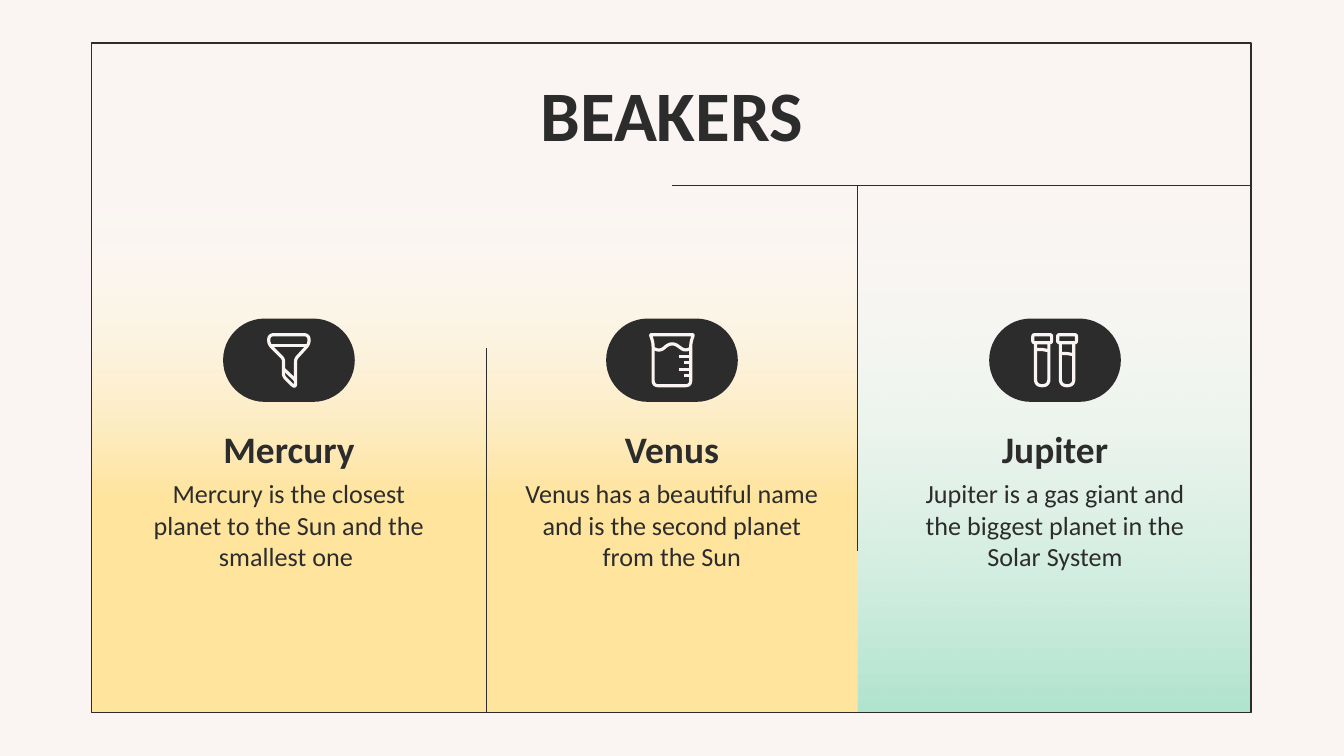
from lxml import etree
from pptx import Presentation
from pptx.dml.color import RGBColor
from pptx.enum.shapes import MSO_CONNECTOR, MSO_SHAPE
from pptx.enum.text import MSO_ANCHOR, PP_ALIGN
from pptx.oxml import parse_xml
from pptx.oxml.ns import nsdecls, qn
from pptx.util import Inches, Pt

INK, PAPER = "2C2C2C", "FAF5F2"
FONT = "Calibri"
LEFT, TOP, RIGHT, BOTTOM = 0.68, 0.32, 9.31, 5.3
HEADER_Y, SPLIT_X = 1.38, 6.38
CENTER_X, COLUMN_PITCH, ICON_Y = 5, 2.85, 2.68


def tube(x, level):
    """Strokes of one test tube centred on x, filled up to level."""
    return [
        ([(x - 7, -19, 1.5), (x + 7, -19, 1.5), (x + 7, -13, 1.5), (x - 7, -13, 1.5)], True),
        ([(x - 5, -13, 0), (x - 5, 19, 5), (x + 5, 19, 5), (x + 5, -13, 0)], False),
        ([(x - 5, level, 0), (x, level, 2), (x + 5, level + 1, 0)], False),
    ]


# Each stroke: points (x, y, corner radius) in 1/100 inch from the icon centre, closed or open.
FUNNEL = [
    ([(-15, -19, 4), (15, -19, 4), (15, -12, 3), (5, -1, 2), (5, 21, 4),
      (-4, 12, 2), (-4, -1, 2), (-15, -12, 3)], True),
    ([(-14, -11, 0), (14, -11, 0)], False),
    ([(-4, 6.5, 0), (5, 15, 0)], False),
]
BEAKER = [
    ([(-16, -19, 1), (16, -19, 1), (14, -13, 3), (14, 19, 4), (-14, 19, 4),
      (-14, -13, 3)], True),
    ([(-14, -9, 0), (-9, -6.5, 4), (0, -14, 6), (10, -6.5, 4), (14, -9, 0)], False),
] + [([(x, y, 0), (14, y, 0)], False) for x, y in [(5, -2.5), (9, 2), (5, 7), (9, 11.5)]]
TUBES = tube(-9.5, -8) + tube(9, -5)

TITLE = "BEAKERS"
COLUMNS = [
    ("Mercury", "Mercury is the closest planet to the Sun and the smallest one ", FUNNEL),
    ("Venus", "Venus has a beautiful name and is the second planet from the Sun", BEAKER),
    ("Jupiter", "Jupiter is a gas giant and the biggest planet in the Solar System", TUBES),
]
# Gradient stops from top to bottom: percent, colour, opacity in percent.
PANELS = [
    (SPLIT_X, RIGHT, [(0, "FFFFFF", 0), (100, "B0E4CE", 100)]),
    (LEFT, SPLIT_X, [(0, "FFFFFF", 0), (59, "FFE49E", 100), (100, "FFE49E", 100)]),
]
RULES = [
    (CENTER_X, HEADER_Y, RIGHT, HEADER_Y),
    (SPLIT_X, HEADER_Y, SPLIT_X, 4.1),
    (3.62, 2.59, 3.62, BOTTOM),
]


def color(value):
    return RGBColor.from_string(value)


def set_line(shape, width, value=INK):
    shape.line.color.rgb = color(value)
    shape.line.width = Pt(width)


def add_box(shapes, kind, left, top, width, height):
    box = shapes.add_shape(kind, Inches(left), Inches(top), Inches(width), Inches(height))
    box.shadow.inherit = False
    box.fill.background()
    box.line.fill.background()
    return box


def add_panel(left, right, stops):
    panel = add_box(page.shapes, MSO_SHAPE.RECTANGLE, left, HEADER_Y,
                    right - left, BOTTOM - HEADER_Y)
    stop_xml = "".join(
        f'<a:gs pos="{position * 1000}"><a:srgbClr val="{value}">'
        f'<a:alpha val="{opacity * 1000}"/></a:srgbClr></a:gs>'
        for position, value, opacity in stops)
    gradient = parse_xml(f'<a:gradFill {nsdecls("a")}><a:gsLst>{stop_xml}</a:gsLst>'
                         '<a:lin ang="5400000" scaled="0"/></a:gradFill>')
    properties = panel.element.spPr
    properties.replace(properties.find(qn("a:noFill")), gradient)


def add_rule(x1, y1, x2, y2):
    rule = page.shapes.add_connector(MSO_CONNECTOR.STRAIGHT, *map(Inches, (x1, y1, x2, y2)))
    set_line(rule, 0.75)
    etree.SubElement(rule.element.spPr, qn("a:effectLst"))


def add_text(text, center, top, width, height, size, bold=False, space_after=0):
    box = page.shapes.add_textbox(Inches(center - width / 2), Inches(top),
                                  Inches(width), Inches(height))
    frame = box.text_frame
    frame.word_wrap = True
    frame.vertical_anchor = MSO_ANCHOR.MIDDLE
    frame.margin_left = frame.margin_right = Inches(0.1)
    frame.margin_top = frame.margin_bottom = Inches(0.1)
    para = frame.paragraphs[0]
    para.alignment = PP_ALIGN.CENTER
    para.space_after = Pt(space_after)
    span = para.add_run()
    span.text = text
    span.font.name, span.font.size, span.font.bold = FONT, Pt(size), bold
    span.font.color.rgb = color(INK)


def toward(start, end, distance):
    dx, dy = end[0] - start[0], end[1] - start[1]
    share = distance / (dx * dx + dy * dy) ** 0.5
    return start[0] + dx * share, start[1] + dy * share


def round_corners(points, steps=6):
    """Replace each corner that has a radius by a short quadratic curve."""
    result = []
    for i, (x, y, radius) in enumerate(points):
        if not radius:
            result.append((x, y))
            continue
        x1, y1 = toward((x, y), points[i - 1], radius)
        x2, y2 = toward((x, y), points[(i + 1) % len(points)], radius)
        for step in range(steps + 1):
            t = step / steps
            a, b, c = (1 - t) ** 2, 2 * t * (1 - t), t * t
            result.append((a * x1 + b * x + c * x2, a * y1 + b * y + c * y2))
    return result


def add_icon(strokes, center):
    group = page.shapes.add_group_shape()
    pill = add_box(group.shapes, MSO_SHAPE.ROUNDED_RECTANGLE,
                   center - 0.49, ICON_Y - 0.31, 0.98, 0.62)
    pill.adjustments[0] = 0.5
    pill.fill.solid()
    pill.fill.fore_color.rgb = color(INK)

    builder = None
    for points, closed in strokes:
        outline = [(Inches(center + x / 100), Inches(ICON_Y + y / 100))
                   for x, y in round_corners(points)]
        if builder is None:
            builder = group.shapes.build_freeform(*outline[0], scale=1.0)
        else:
            builder.move_to(*outline[0])
        builder.add_line_segments(outline[1:], close=closed)
    icon = builder.convert_to_shape()
    icon.shadow.inherit = False
    icon.fill.background()
    set_line(icon, 1.7, PAPER)


deck = Presentation()
deck.slide_width = Inches(10)
deck.slide_height = deck.slide_width * 9 // 16
page = deck.slides.add_slide(deck.slide_layouts[6])
page.background.fill.solid()
page.background.fill.fore_color.rgb = color(PAPER)

for left, right, stops in PANELS:
    add_panel(left, right, stops)
border = add_box(page.shapes, MSO_SHAPE.RECTANGLE, LEFT, TOP, RIGHT - LEFT, BOTTOM - TOP)
set_line(border, 0.75)
for ends in RULES:
    add_rule(*ends)

add_text(TITLE, CENTER_X, 0.53, 5.11, 0.63, size=38, bold=True)
for index, (name, description, strokes) in enumerate(COLUMNS):
    column_x = CENTER_X + (index - 1) * COLUMN_PITCH
    add_text(description, column_x, 3.5, 2.41, 0.81, size=14, space_after=12)
    add_text(name, column_x, 3.08, 2.41, 0.52, size=20, bold=True)
    add_icon(strokes, column_x)

deck.save("out.pptx")
